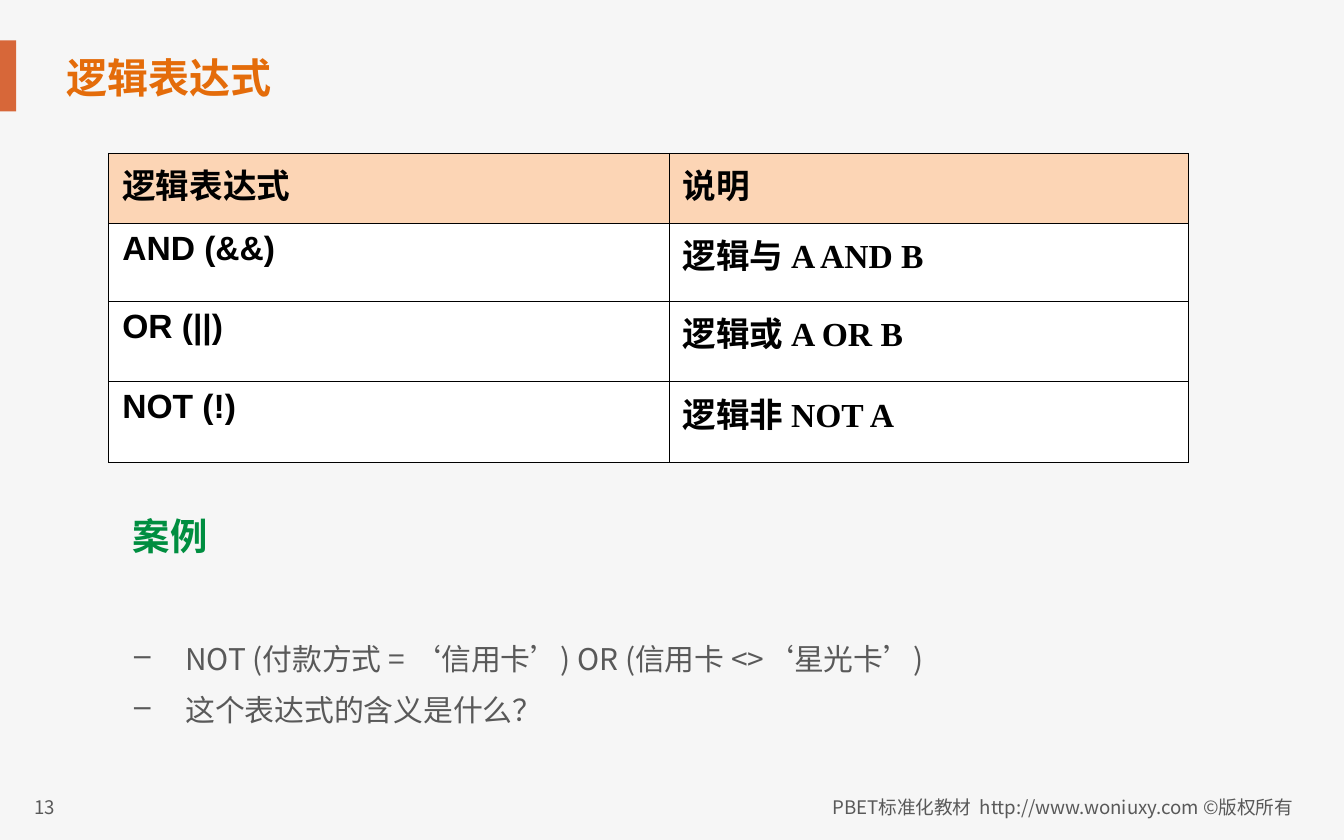
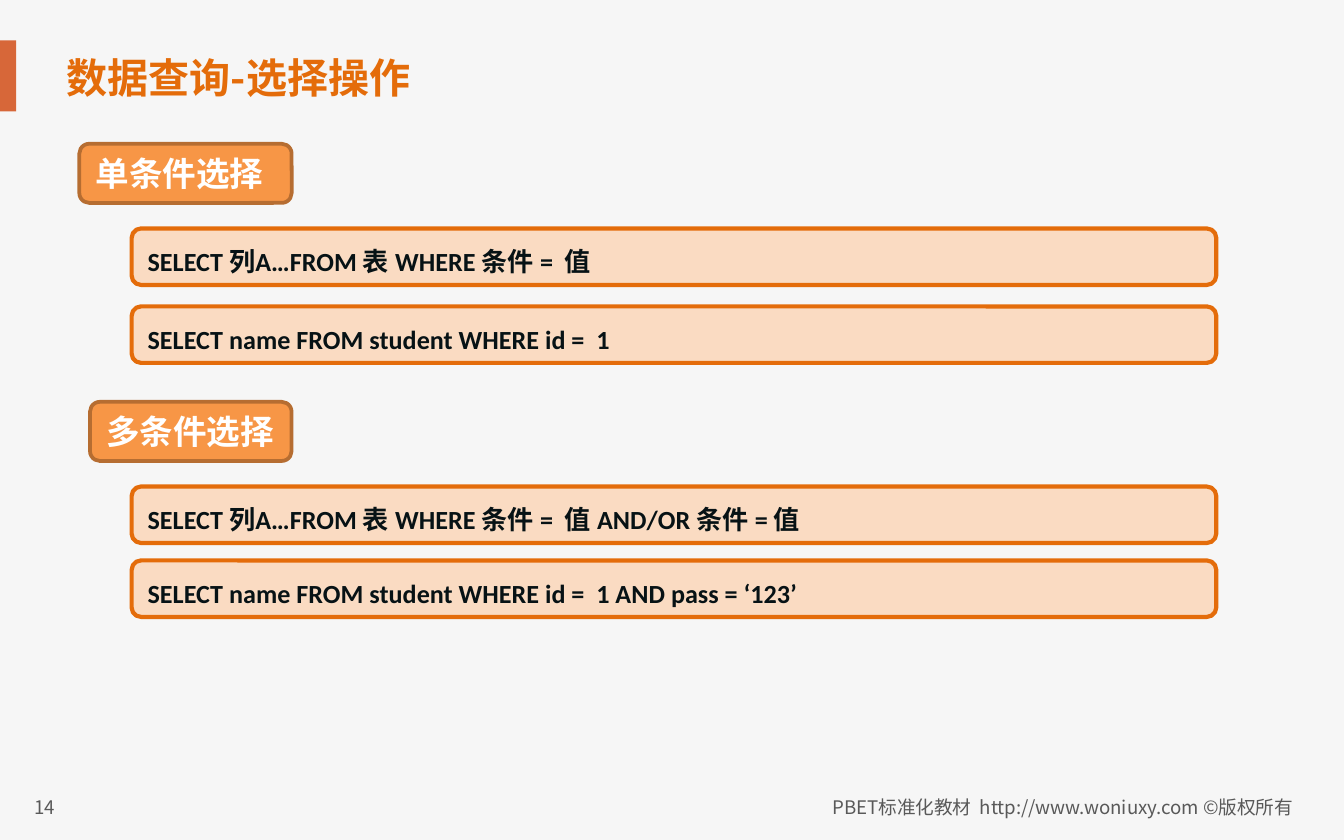
"""Two lesson slides on logic expressions and SELECT conditions."""
from lxml import etree
from pptx import Presentation
from pptx.dml.color import RGBColor
from pptx.enum.shapes import MSO_SHAPE
from pptx.enum.text import MSO_ANCHOR, PP_ALIGN
from pptx.oxml.ns import qn
from pptx.util import Inches, Pt

RECT, ROUND = MSO_SHAPE.RECTANGLE, MSO_SHAPE.ROUNDED_RECTANGLE
TOP, MIDDLE = MSO_ANCHOR.TOP, MSO_ANCHOR.MIDDLE
LEFT, RIGHT = PP_ALIGN.LEFT, PP_ALIGN.RIGHT

WIDE, HIGH = 10, 6.25
CJK = "Noto Sans CJK SC"
HUES = {
    "page": "F6F6F6", "bar": "D76739", "title": "E46C0A", "grey": "595959",
    "green": "008E40", "peach": "FCD5B5", "white": "FFFFFF", "black": "000000",
    "tag": "F79646", "rim": "B66D31", "code": "071215",
}
FONTS = {
    "title": {"size": 22, "bold": True, "hue": "title"},
    "foot": {"size": 10, "hue": "grey"},
    "case": {"size": 20, "bold": True, "hue": "green"},
    "point": {"size": 16, "hue": "grey"},
    "word": {"size": 18, "bold": True, "hue": "black", "name": "Arial"},
    "note": {"size": 18, "bold": True, "hue": "black", "name": "Times New Roman"},
    "tag": {"size": 18, "bold": True, "hue": "white", "name": "Calibri"},
    "code": {"size": 14, "bold": True, "hue": "code", "name": "Calibri"},
}

FOOT = "PBET标准化教材  http://www.woniuxy.com ©版权所有 "
TITLES = ["逻辑表达式", "数据查询-选择操作"]
FIRST = 13

LOGIC = [
    ("逻辑表达式", "说明"),
    ("AND (&&)", "逻辑与 A AND B"),
    ("OR (||)", "逻辑或 A OR B"),
    ("NOT (!)", "逻辑非 NOT A"),
]
COLS = [4.17, 3.86]
ROWS = [0.52, 0.58, 0.6, 0.6]
CASE = "案例"
POINTS = [
    "NOT (付款方式 = ‘信用卡’) OR (信用卡 <>‘星光卡’)",
    "这个表达式的含义是什么？",
]

QUERIES = [
    {"tag": "单条件选择", "left": 0.59, "top": 1.07, "step": 0.58, "code": [
        "SELECT 列A…FROM 表 WHERE 条件 =  值",
        "SELECT name FROM student WHERE id =  1"]},
    {"tag": "多条件选择", "left": 0.67, "top": 2.99, "step": 0.55, "code": [
        "SELECT 列A…FROM 表 WHERE 条件 =  值 AND/OR 条件 = 值",
        "SELECT name FROM student WHERE id =  1 AND pass = ‘123’"]},
]
TAG_END, TAG_HIGH = 2.17, 0.44
CODE_LEFT, CODE_WIDE, CODE_HIGH, CODE_DROP = 0.98, 8.07, 0.42, 0.63


def tint(hue):
    return RGBColor.from_string(HUES[hue])


def paint(fill, hue):
    fill.solid()
    fill.fore_color.rgb = tint(hue)


def write(frame, lines, style, anchor=TOP, **form):
    frame.word_wrap = True
    frame.vertical_anchor = anchor
    look = {"name": CJK, "bold": False, **FONTS[style]}
    for i, line in enumerate(lines):
        para = frame.paragraphs[0] if i == 0 else frame.add_paragraph()
        for key, value in {"alignment": LEFT, **form}.items():
            if i or key != "space_before":
                setattr(para, key, value)
        run = para.add_run()
        run.text = line
        font = run.font
        for key in ("name", "bold"):
            setattr(font, key, look[key])
        font.size = Pt(look["size"])
        font.color.rgb = tint(look["hue"])
        etree.SubElement(run._r.get_or_add_rPr(), qn("a:ea"), typeface=CJK)


def label(slide, box, lines, style, anchor=TOP, **form):
    shape = slide.shapes.add_textbox(*map(Inches, box))
    write(shape.text_frame, lines, style, anchor, **form)
    return shape


def block(slide, kind, box, hue, rim=None, thick=0):
    shape = slide.shapes.add_shape(kind, *map(Inches, box))
    shape.shadow.inherit = False
    paint(shape.fill, hue)
    if rim:
        paint(shape.line.fill, rim)
        shape.line.width = Pt(thick)
    else:
        shape.line.fill.background()
    return shape


def start(deck, title, page):
    slide = deck.slides.add_slide(deck.slide_layouts[6])
    paint(slide.background.fill, "page")
    block(slide, RECT, (-0.07, 0.3, 0.19, 0.53), "bar")
    low = HIGH - 0.38
    label(slide, (WIDE - 5.01, low, 4.76, 0.27), [FOOT], "foot", alignment=RIGHT)
    label(slide, (0.16, low, 0.86, 0.3), [str(page)], "foot")
    label(slide, (0.4, 0.33, 7.02, 0.48), [title], "title", MIDDLE)
    return slide


def edge(cell):
    props = cell._tc.get_or_add_tcPr()
    for side in "LRTB":
        line = etree.SubElement(props, qn("a:ln" + side), w=str(Pt(0.45)))
        fill = etree.SubElement(line, qn("a:solidFill"))
        etree.SubElement(fill, qn("a:srgbClr"), val=HUES["black"])


def dash(para):
    props = para._p.get_or_add_pPr()
    props.set("marL", str(Inches(0.88)))
    props.set("indent", str(Inches(-0.38)))
    hue = etree.SubElement(props, qn("a:buClr"))
    etree.SubElement(hue, qn("a:srgbClr"), val=HUES["grey"])
    etree.SubElement(props, qn("a:buChar"), char="–")


def logic(slide):
    box = (0.81, 1.14, sum(COLS), sum(ROWS))
    table = slide.shapes.add_table(len(ROWS), len(COLS), *map(Inches, box)).table
    table.first_row = table.horz_banding = False
    for col, size in zip(table.columns, COLS):
        col.width = Inches(size)
    for r, (row, size) in enumerate(zip(table.rows, ROWS)):
        row.height = Inches(size)
        for cell, text, style in zip(row.cells, LOGIC[r], ("word", "note")):
            edge(cell)
            paint(cell.fill, "white" if r else "peach")
            write(cell.text_frame, [text], style)
    label(slide, (0.89, 3.81, 0.84, 0.42), [CASE], "case",
          line_spacing=0.9, space_after=Pt(5.4))
    body = label(slide, (0.4, 4.72, 9.22, 1.07), POINTS, "point",
                 space_before=Pt(4), space_after=Pt(4))
    for para in body.text_frame.paragraphs:
        dash(para)


def query(slide, item):
    left, top = item["left"], item["top"]
    tag = block(slide, ROUND, (left, top, TAG_END - left, TAG_HIGH), "tag", "rim", 2)
    write(tag.text_frame, [item["tag"]], "tag", MIDDLE)
    for i, text in enumerate(item["code"]):
        y = top + CODE_DROP + i * item["step"]
        box = (CODE_LEFT, y, CODE_WIDE, CODE_HIGH)
        shape = block(slide, ROUND, box, "peach", "title", 2.25)
        hue = shape.fill._xPr.find(qn("a:solidFill"))[0]
        etree.SubElement(hue, qn("a:alpha"), val="80000")
        write(shape.text_frame, [text], "code", MIDDLE, line_spacing=1.3)


def main():
    deck = Presentation()
    deck.slide_width, deck.slide_height = Inches(WIDE), Inches(HIGH)
    first, second = [start(deck, t, FIRST + i) for i, t in enumerate(TITLES)]
    logic(first)
    for item in QUERIES:
        query(second, item)
    deck.save("out.pptx")


if __name__ == "__main__":
    main()
